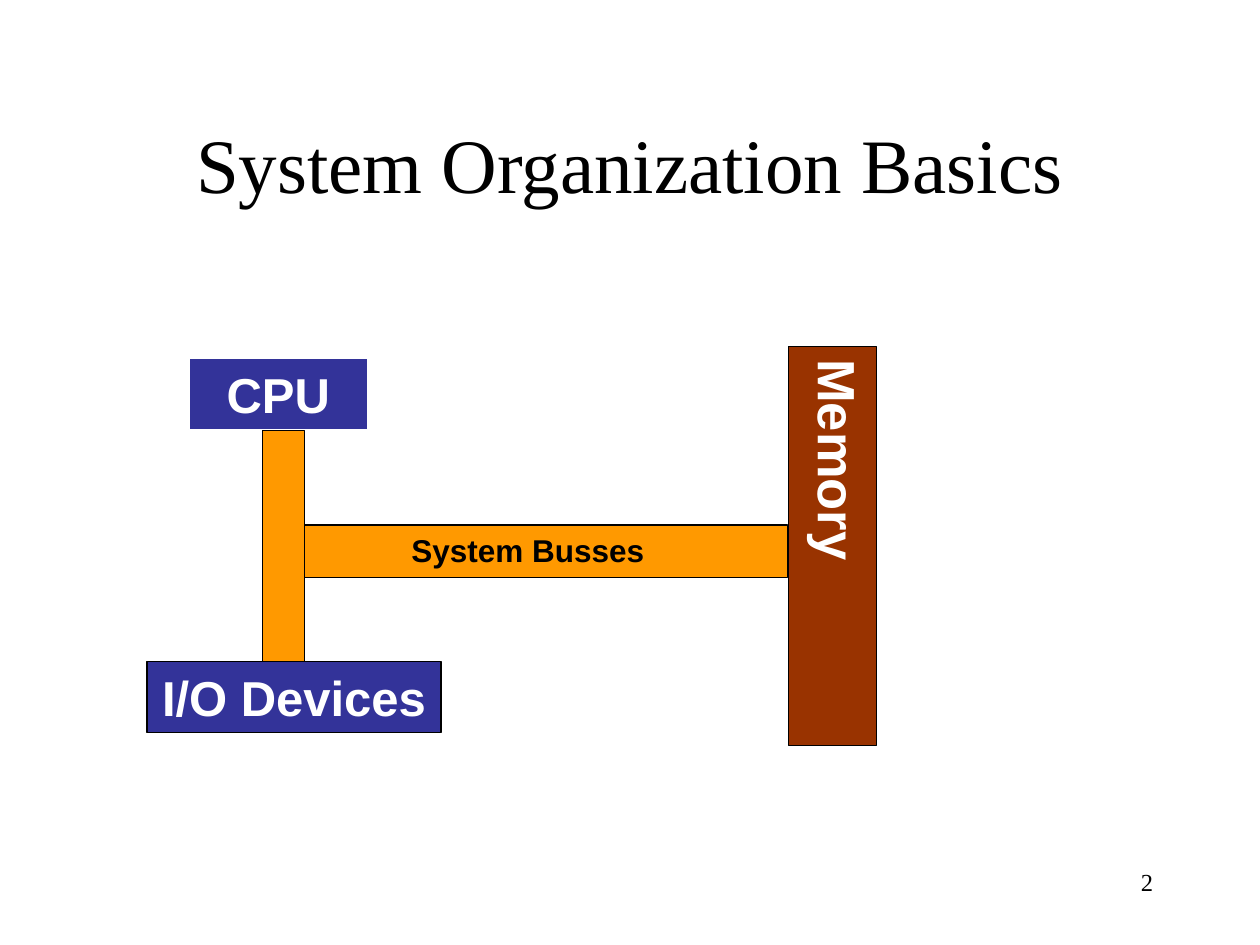
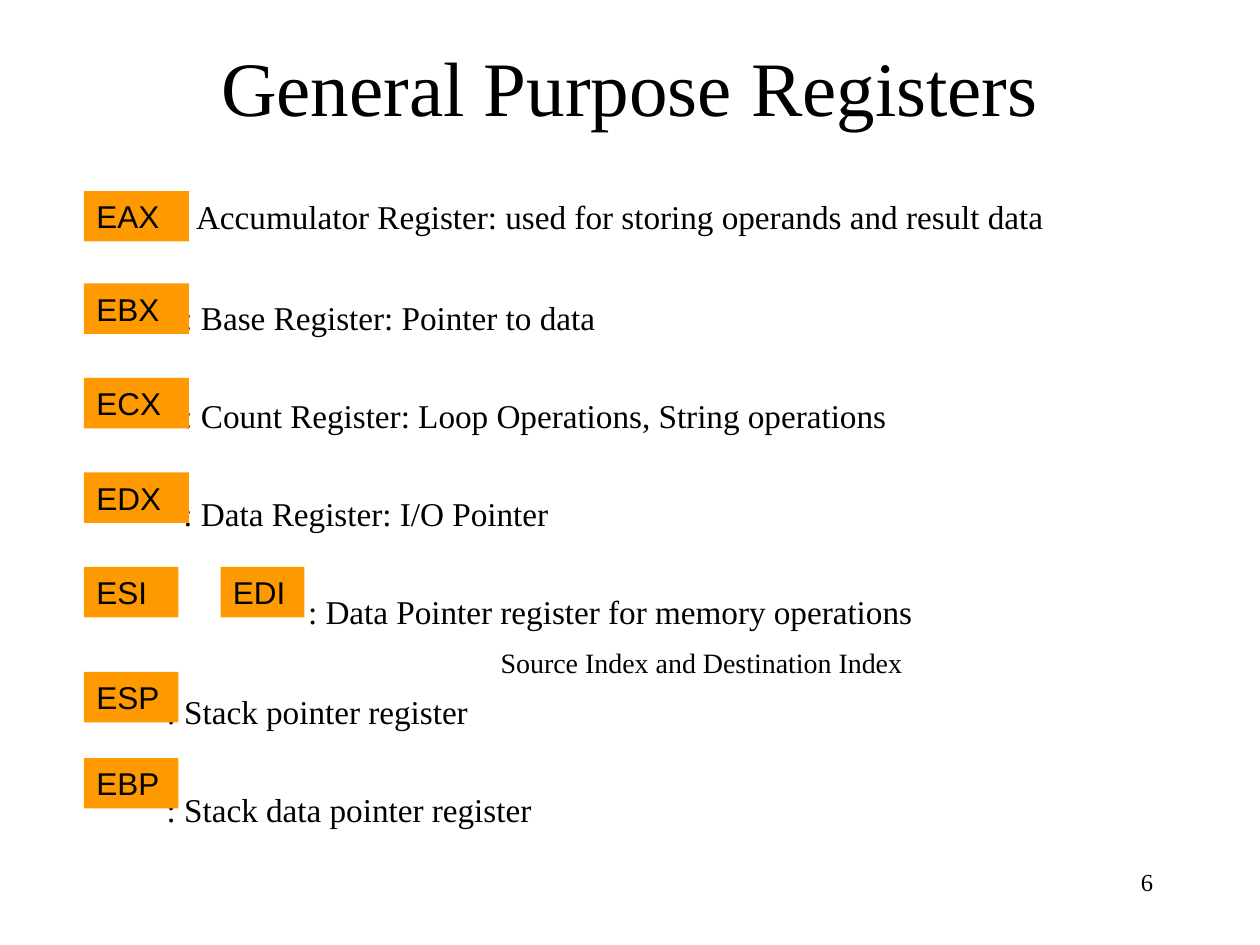
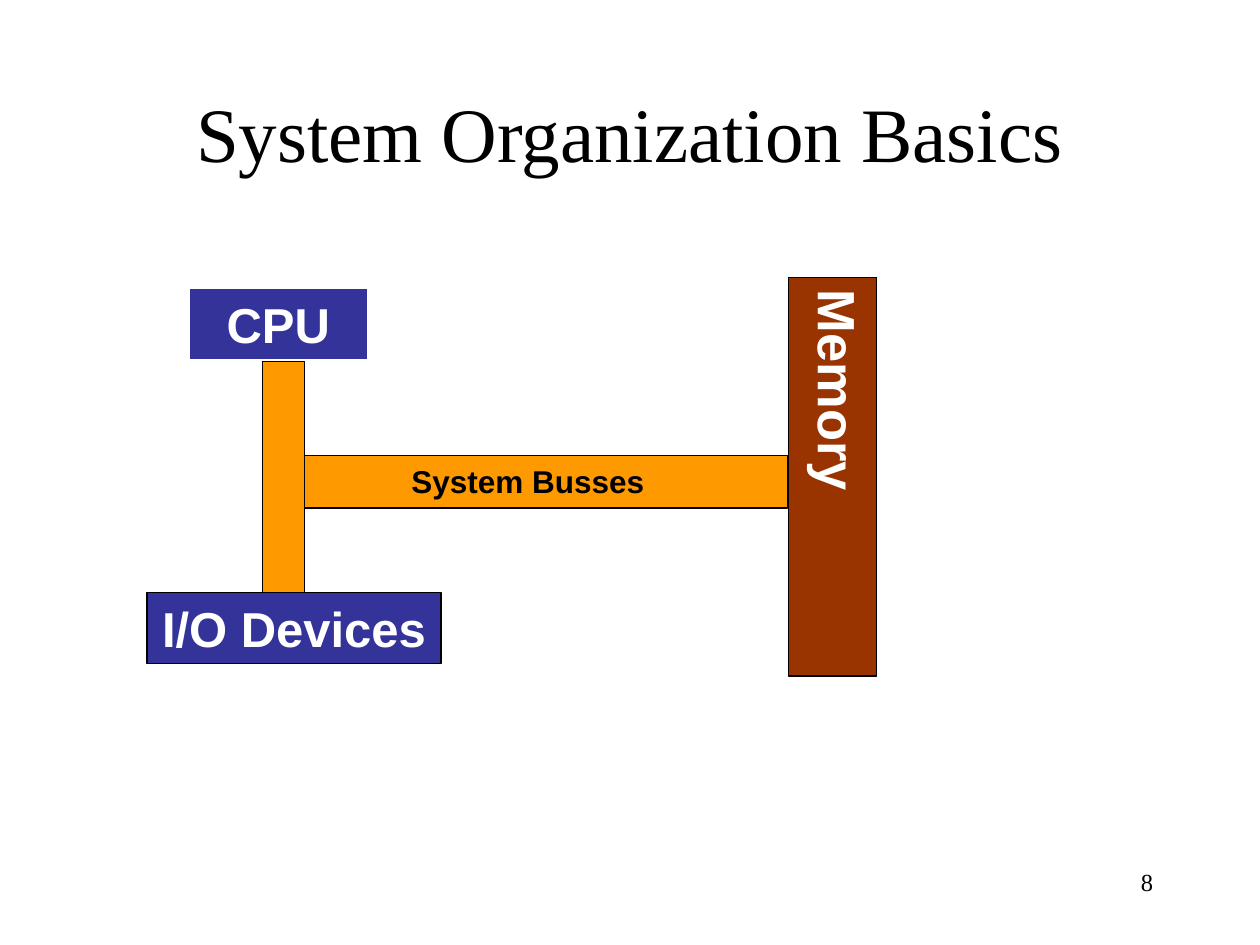
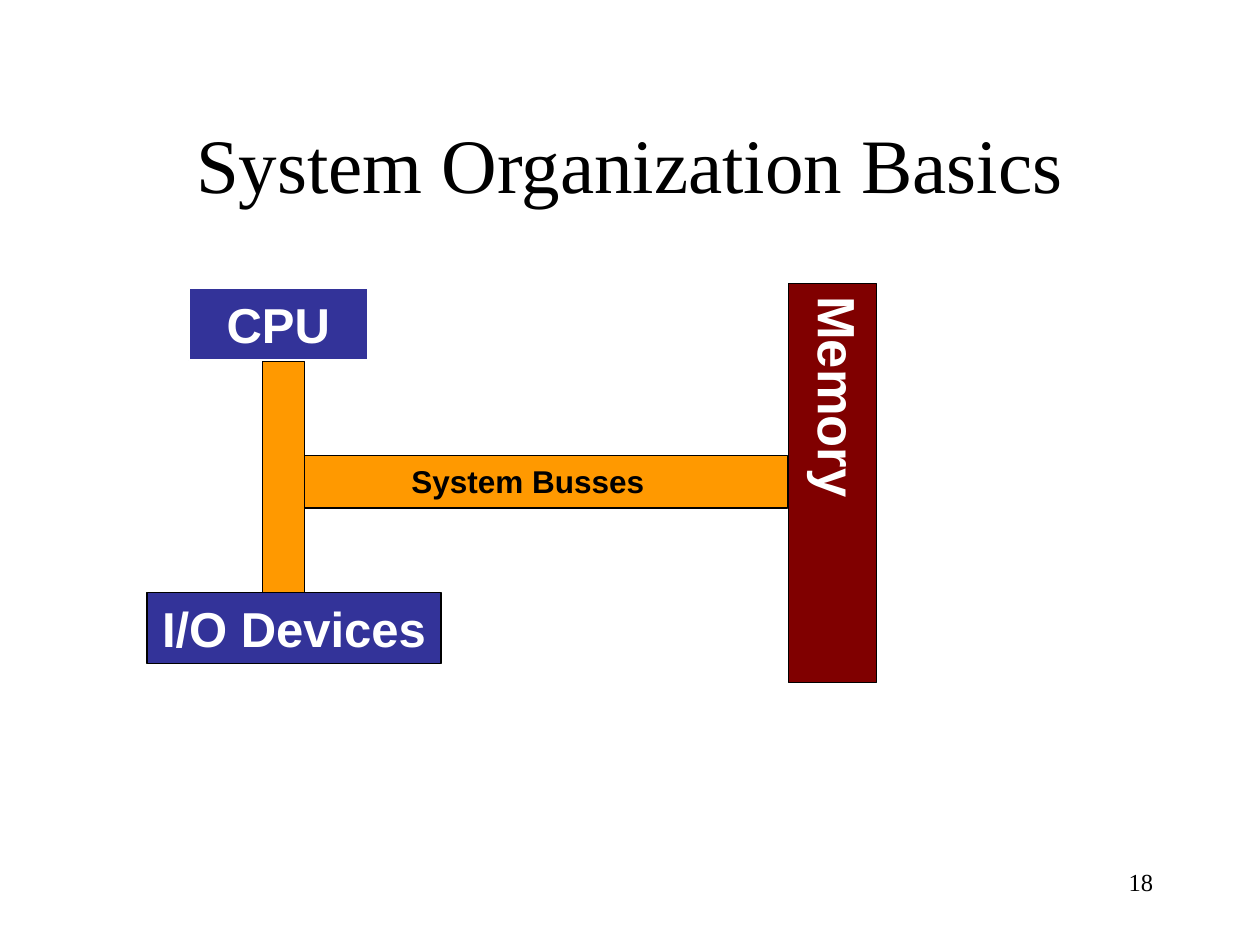
import pptx
import pptx.util
from pptx.dml.color import RGBColor
from pptx.enum.shapes import MSO_SHAPE
from pptx.enum.text import MSO_ANCHOR, PP_ALIGN

COLUMNS, ROWS = 120, 90
CELL = pptx.util.Inches(10) // COLUMNS

BLACK = RGBColor(0x00, 0x00, 0x00)
WHITE = RGBColor(0xFF, 0xFF, 0xFF)
NAVY = RGBColor(0x33, 0x33, 0x99)
ORANGE = RGBColor(0xFF, 0x99, 0x00)
RUST = RGBColor(0x99, 0x33, 0x00)
MAROON = RGBColor(0x80, 0x00, 0x00)
SERIF, SANS = "Times New Roman", "Arial"

# Name, column, row, width
REGISTERS = [
    ("EAX", 8, 18.2, 10),
    ("EBX", 8, 27, 10),
    ("ECX", 8, 36, 10),
    ("EDX", 8, 45, 10),
    ("ESI", 8, 54, 9),
    ("EDI", 21, 54, 8),
    ("ESP", 8, 64, 9),
    ("EBP", 8, 72.2, 9),
]

# Text, left indent in columns, size, space before
DESCRIPTIONS = [
    (": Accumulator Register: used for storing operands and result data", 10, 19, 0),
    (": Base Register: Pointer to data", 10.3, 19, 34.8),
    (": Count Register: Loop Operations, String operations", 10.3, 19, 33.2),
    (": Data Register: I/O Pointer", 10.3, 19, 33.2),
    (": Data Pointer register for memory operations", 22.16, 19, 33.2),
    ("Source Index and Destination Index", 40.5, 16, 8.6),
    (": Stack pointer register", 8.7, 19, 6.9),
    (": Stack data pointer register", 8.7, 19, 33.2),
]


def grid(*cells):
    """Turn column and row counts into lengths."""
    return [pptx.util.Emu(round(n * CELL)) for n in cells]


def style(p, size, font=SANS, color=BLACK, bold=False, align=PP_ALIGN.LEFT):
    p.alignment = align
    for r in p.runs:
        r.font.name = font
        r.font.size = pptx.util.Pt(size)
        r.font.bold = bold
        r.font.color.rgb = color


def add_text(s, box, text, size, anchor=MSO_ANCHOR.TOP, **look):
    tf = s.shapes.add_textbox(*grid(*box)).text_frame
    tf.word_wrap = True
    tf.vertical_anchor = anchor
    tf.text = text
    style(tf.paragraphs[0], size, **look)


def add_block(s, box, fill, line=None, text="", size=18, **look):
    sp = s.shapes.add_shape(MSO_SHAPE.RECTANGLE, *grid(*box))
    sp.shadow.inherit = False
    sp.fill.solid()
    sp.fill.fore_color.rgb = fill
    if line is None:
        sp.line.fill.background()
    else:
        sp.line.color.rgb = line
        sp.line.width = pptx.util.Pt(0.75)
    if text:
        tf = sp.text_frame
        tf.vertical_anchor = MSO_ANCHOR.TOP
        tf.text = text
        style(tf.paragraphs[0], size, **look)
    return sp


def turn_text(sp):
    """Run the text of a block from top to bottom."""
    tf = sp.text_frame
    tf.margin_left = tf.margin_right = pptx.util.Inches(0.05)
    tf.margin_top = tf.margin_bottom = pptx.util.Inches(0.1)
    tf._txBody.bodyPr.set("vert", "eaVert")


def add_slide(prs, title, title_box, number):
    s = prs.slides.add_slide(prs.slide_layouts[6])
    add_text(s, title_box, title, 44, MSO_ANCHOR.MIDDLE,
             font=SERIF, align=PP_ALIGN.CENTER)
    add_text(s, (86, 82, 25, 6), str(number), 14, font=SERIF, align=PP_ALIGN.RIGHT)
    return s


def system_slide(prs, number, title_box, top, memory_top, memory_fill):
    """Draw CPU, devices and memory joined by busses; top is the CPU's row."""
    s = add_slide(prs, "System Organization Basics", title_box, number)
    label = dict(color=WHITE, bold=True, align=PP_ALIGN.CENTER)
    memory = add_block(s, (75.1, memory_top, 8.4, 38), memory_fill, BLACK,
                       "Memory", 30, **label)
    turn_text(memory)
    add_block(s, (18, top, 17, 6.8), NAVY, WHITE, "CPU", 28, **label)
    add_block(s, (14, top + 28.9, 28, 6.8), NAVY, BLACK, "I/O Devices", 28, **label)
    add_block(s, (25, top + 6.9, 4, 22), ORANGE, BLACK)
    add_block(s, (29, top + 15.9, 46, 5), ORANGE, BLACK)
    add_text(s, (38, top + 15.9, 27, 4.8), "System Busses", 18, bold=True)


def add_descriptions(s):
    tf = s.shapes.add_textbox(*grid(6, 18.1, 108, 68.9)).text_frame
    tf.word_wrap = True
    for i, (text, indent, size, before) in enumerate(DESCRIPTIONS):
        p = tf.paragraphs[0] if i == 0 else tf.add_paragraph()
        p.text = text
        p.space_before = pptx.util.Pt(before)
        p._p.get_or_add_pPr().set("marL", str(grid(indent)[0]))
        style(p, size, SERIF)


def register_slide(prs, number):
    s = add_slide(prs, "General Purpose Registers", (9, 2, 102, 12.4), number)
    add_descriptions(s)
    for name, column, row, width in REGISTERS:
        add_block(s, (column, row, width, 4.8), ORANGE, text=name)


def main():
    prs = pptx.Presentation()
    prs.slide_width, prs.slide_height = grid(COLUMNS, ROWS)
    low_title, high_title = (9, 8, 102, 15), (6, 5, 108, 15)
    system_slide(prs, 2, low_title, 34.1, 33, RUST)
    register_slide(prs, 6)
    system_slide(prs, 8, high_title, 27.5, 26.4, RUST)
    system_slide(prs, 18, low_title, 27.5, 27, MAROON)
    prs.save("out.pptx")


if __name__ == "__main__":
    main()
